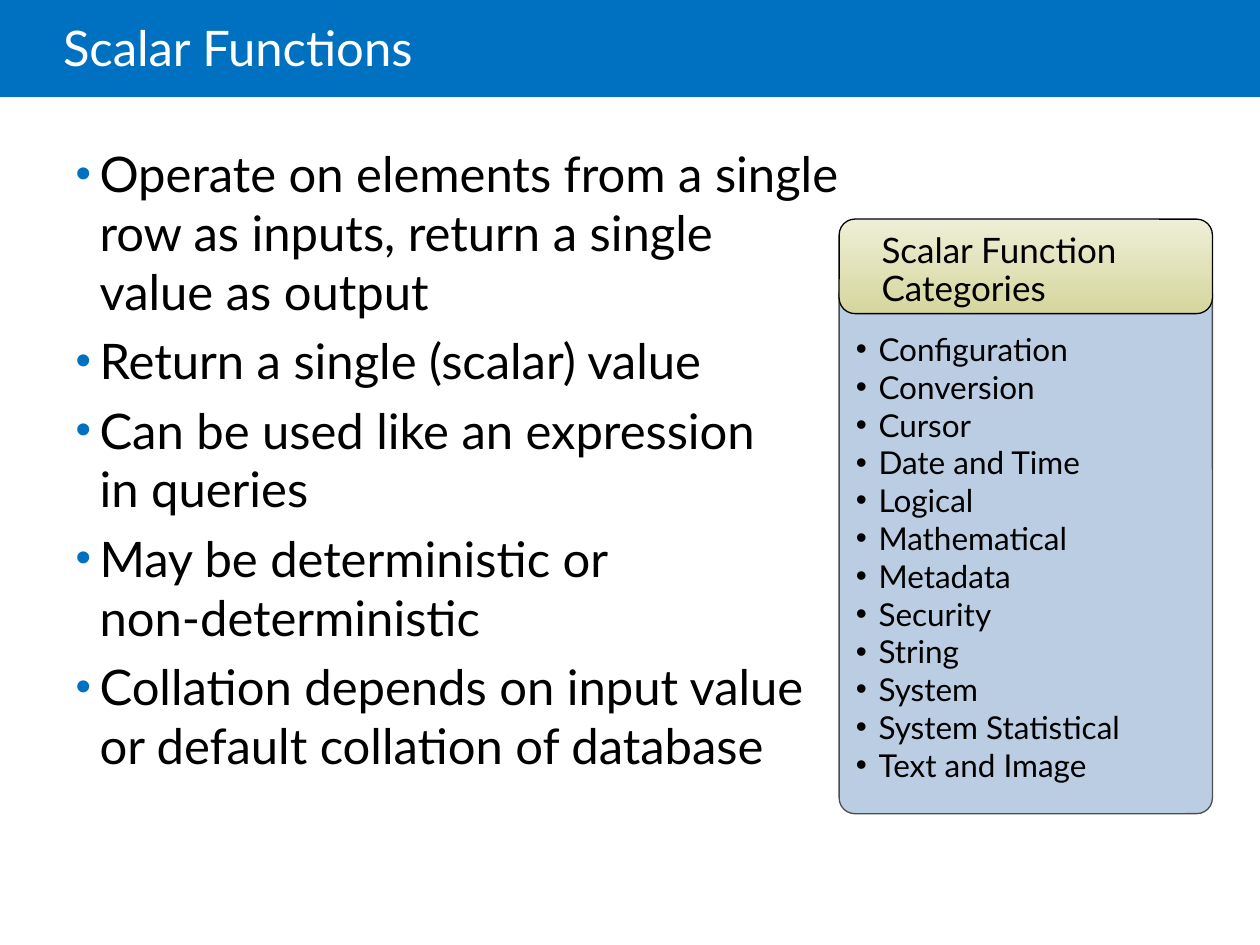
import dataclasses

import lxml.etree
import pptx
import pptx.dml.color
import pptx.enum.shapes
import pptx.enum.text
import pptx.oxml.ns
import pptx.util

Pt = pptx.util.Pt
Shape = pptx.enum.shapes.MSO_SHAPE
Anchor = pptx.enum.text.MSO_ANCHOR
Align = pptx.enum.text.PP_ALIGN
qn = pptx.oxml.ns.qn


@dataclasses.dataclass(frozen=True)
class Theme:
    """Colours, font and type sizes of the slide."""
    font: str = "Lato"
    blue: str = "0070C0"
    white: str = "FFFFFF"
    black: str = "000000"
    panel: str = "BBCDE3"
    panel_line: str = "4D4D4D"
    header_top: str = "EEEFD7"
    header_bottom: str = "D5D69C"
    large: int = 28
    medium: int = 20
    small: int = 18


T = Theme()

POINTS = [
    "Operate on elements from a single\nrow as inputs, return a single \nvalue as output",
    "Return a single (scalar) value",
    "Can be used like an expression\nin queries",
    "May be deterministic or\nnon-deterministic",
    "Collation depends on input value\nor default collation of database",
]
CATEGORIES = [
    "Configuration", "Conversion", "Cursor", "Date and Time", "Logical", "Mathematical",
    "Metadata", "Security", "String", "System", "System Statistical", "Text and Image",
]


def rgb(value):
    """Return the colour object for a hex string."""
    return pptx.dml.color.RGBColor.from_string(value)


def place(sp, box):
    """Move and size a shape to a box in points."""
    sp.left, sp.top, sp.width, sp.height = (Pt(v) for v in box)


def set_frame(tf, insets, anchor):
    """Set the insets, anchor and wrapping of a text frame."""
    tf.margin_left, tf.margin_top, tf.margin_right, tf.margin_bottom = (Pt(v) for v in insets)
    tf.vertical_anchor = anchor
    tf.word_wrap = True
    tf.auto_size = pptx.enum.text.MSO_AUTO_SIZE.NONE


def write(p, text, size, color, line_spacing=1.0, space_before=0):
    """Fill a paragraph run by run, breaking at line ends."""
    p.alignment = Align.LEFT
    p.line_spacing = line_spacing
    p.space_before = Pt(space_before)
    for i, line in enumerate(text.split("\n")):
        if i:
            p.add_line_break()
        r = p.add_run()
        r.text = line
        r.font.name = T.font
        r.font.size = Pt(size)
        r.font.color.rgb = rgb(color)


def add_bullet(p, indent, color, percent):
    """Give a paragraph a hanging round bullet."""
    pPr = p._p.get_or_add_pPr()
    pPr.set("marL", str(Pt(indent)))
    pPr.set("indent", str(Pt(-indent)))
    buClr = lxml.etree.SubElement(pPr, qn("a:buClr"))
    lxml.etree.SubElement(buClr, qn("a:srgbClr"), val=color)
    lxml.etree.SubElement(pPr, qn("a:buSzPct"), val=str(percent * 1000))
    lxml.etree.SubElement(pPr, qn("a:buFont"), typeface="Arial")
    lxml.etree.SubElement(pPr, qn("a:buChar"), char="•")


def write_list(tf, items, size, indent, bullet_color, percent=100, space_before=0):
    """Write one bulleted paragraph for each item."""
    for i, item in enumerate(items):
        p = tf.add_paragraph() if i else tf.paragraphs[0]
        write(p, item, size, T.black, space_before=space_before)
        add_bullet(p, indent, bullet_color, percent)


def add_box(shapes, kind, box, fill=None, line=None):
    """Add a preset shape without a shadow."""
    sp = shapes.add_shape(kind, *(Pt(v) for v in box))
    sp.shadow.inherit = False
    if fill:
        sp.fill.solid()
        sp.fill.fore_color.rgb = rgb(fill)
    if line:
        sp.line.color.rgb = rgb(line)
        sp.line.width = Pt(0.75)
    else:
        sp.line.fill.background()
    return sp


def build_title(s, box, text):
    """Place the title on its full-width band."""
    x, y, w, h = box
    title = s.shapes.title
    band = add_box(s.shapes, Shape.RECTANGLE, box, T.blue)
    title._element.addprevious(band._element)
    place(title, (x + 36, y, w - 108, h + 3))
    set_frame(title.text_frame, (0, 3.6, 7.2, 3.6), Anchor.MIDDLE)
    write(title.text_frame.paragraphs[0], text, T.large, T.white, 0.85)


def build_body(s, box, items):
    """Place the main list in the body placeholder."""
    body = s.placeholders[1]
    place(body, box)
    set_frame(body.text_frame, (7.2, 3.6, 7.2, 3.6), Anchor.TOP)
    write_list(body.text_frame, items, T.large, 13.7, T.blue, 90, 6)


def build_panel(s, box, heading, items):
    """Group a rounded panel, its header and its list."""
    x, y, w, h = box
    shapes = s.shapes.add_group_shape().shapes
    panel = add_box(shapes, Shape.ROUNDED_RECTANGLE, (x, y + 34, w, h - 34), T.panel, T.panel_line)
    panel.adjustments[0] = 0.042

    header = add_box(shapes, Shape.ROUNDED_RECTANGLE, (x, y, w, 54), line=T.black)
    header.fill.gradient()
    header.fill.gradient_angle = 270
    for stop, position, color in zip(header.fill.gradient_stops, (0, 1), (T.header_top, T.header_bottom)):
        stop.position = position
        stop.color.rgb = rgb(color)
    set_frame(header.text_frame, (21.6, 8.6, 7.2, 3.6), Anchor.MIDDLE)
    write(header.text_frame.paragraphs[0], heading, T.medium, T.black, 0.9)

    tb = shapes.add_textbox(*(Pt(v) for v in (x + 9.5, y + 63.4, w - 23, h - 75)))
    set_frame(tb.text_frame, (0, 0, 0, 0), Anchor.TOP)
    write_list(tb.text_frame, items, T.small, 13, T.black)


def main():
    """Build and save the slide."""
    prs = pptx.Presentation()
    prs.slide_width, prs.slide_height = Pt(720), Pt(540)
    s = prs.slides.add_slide(prs.slide_layouts[1])
    build_title(s, (0, 0, 720, 55.4), "Scalar Functions")
    build_panel(s, (479.5, 125.2, 213.3, 339.8), "Scalar Function Categories", CATEGORIES)
    build_body(s, (36, 78.5, 610.6, 345.6), POINTS)
    prs.save("out.pptx")


if __name__ == "__main__":
    main()
